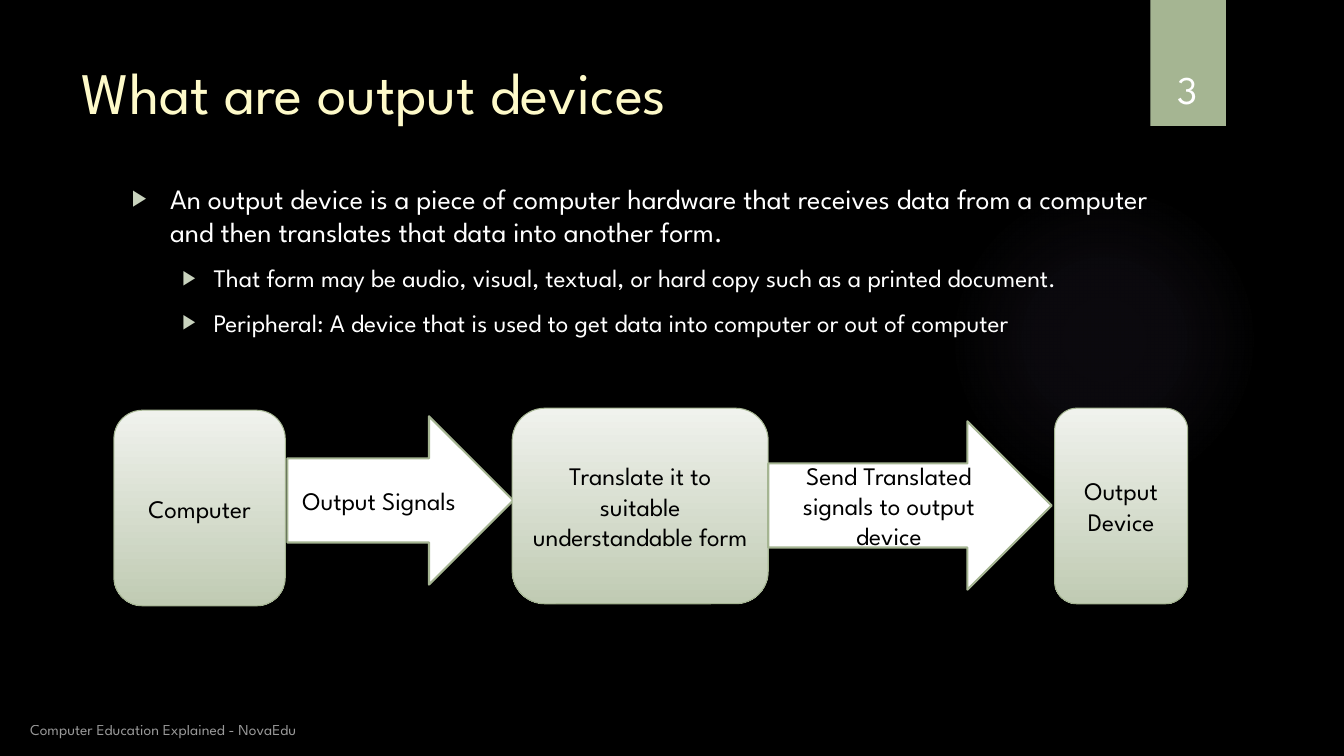
from lxml import etree
from pptx import Presentation
from pptx.dml.color import RGBColor
from pptx.enum.shapes import MSO_SHAPE as SHAPE
from pptx.enum.text import MSO_ANCHOR as ANCHOR, PP_ALIGN as ALIGN
from pptx.oxml import parse_xml
from pptx.oxml.ns import nsdecls, qn
from pptx.util import Inches, Pt

FONT = "League Spartan"
BLACK = RGBColor(0x00, 0x00, 0x00)
WHITE = RGBColor(0xFF, 0xFF, 0xFF)
CREAM = RGBColor(0xFE, 0xFA, 0xC9)
SAGE = RGBColor(0xA5, 0xB5, 0x92)
PALE = RGBColor(0xF0, 0xF2, 0xED)
MOSS = RGBColor(0xC0, 0xCB, 0xB3)
BULLET = RGBColor(0xC9, 0xD3, 0xBE)
GLOW = RGBColor(0x9C, 0x85, 0xC0)

# Content
TITLE = "What are output devices"
FOOTER = "Computer Education Explained - NovaEdu"
PAGE = "3"
BULLETS = [  # level, text
    (0, "An output device is a piece of computer hardware that receives data "
        "from a computer and then translates that data into another form."),
    (1, "That form may be audio, visual, textual, or hard copy such as a printed document."),
    (1, "Peripheral: A device that is used to get data into computer or out of computer"),
]
LEVELS = [(20, 0.38, 0.38), (18, 0.81, 0.31)]  # size, left margin, hanging indent
FLOW = [  # kind, text, left, top, width
    ("arrow", "Output Signals", 2.85, 4.13, 2.24),
    ("box", "Translate it to suitable understandable form", 5.08, 4.05, 2.54),
    ("arrow", "Send Translated signals to output device", 7.62, 4.18, 2.81),
    ("box", "Output Device", 10.46, 4.05, 1.32),
    ("box", "Computer", 1.13, 4.07, 1.7),
]
FLOW_STYLE = {  # preset, height, line width
    "arrow": (SHAPE.RIGHT_ARROW, 1.67, 1.5),
    "box": (SHAPE.ROUNDED_RECTANGLE, 1.94, 0.75),
}
GLOW_STOPS = [(0, 7), (36, 6), (69, 0)]  # position %, opacity %

prs = Presentation()
prs.slide_width, prs.slide_height = Inches(13.33), Inches(7.5)
s = prs.slides.add_slide(prs.slide_layouts[6])
s.background.fill.solid()
s.background.fill.fore_color.rgb = BLACK


def add_shape(kind, left, top, width, height):
    sp = s.shapes.add_shape(kind, *map(Inches, (left, top, width, height)))
    sp.shadow.inherit = False
    sp.line.fill.background()
    return sp


def add_box(left, top, width, height, anchor=ANCHOR.TOP):
    tf = s.shapes.add_textbox(*map(Inches, (left, top, width, height))).text_frame
    tf.word_wrap = True
    tf.vertical_anchor = anchor
    return tf


def write(p, text, size=18, color=BLACK, align=ALIGN.LEFT):
    p.alignment = align
    r = p.add_run()
    r.text = text
    r.font.name, r.font.size = FONT, Pt(size)
    r.font.color.rgb = color
    return r


def add_bullet(p, margin, hanging):
    pPr = p._p.get_or_add_pPr()
    pPr.set("marL", str(Inches(margin)))
    pPr.set("indent", str(-Inches(hanging)))
    for xml in (f'<a:buClr {nsdecls("a")}><a:srgbClr val="{BULLET}"/></a:buClr>',
                f'<a:buSzPct {nsdecls("a")} val="80000"/>',
                f'<a:buFont {nsdecls("a")} typeface="Arial"/>',
                f'<a:buChar {nsdecls("a")} char="▶"/>'):
        pPr.append(parse_xml(xml))


# Background glow
glow = add_shape(SHAPE.OVAL, 9.41, 1.83, 3.08, 3.08)
stops = "".join(
    f'<a:gs pos="{pos * 1000}"><a:srgbClr val="{GLOW}"><a:alpha val="{alpha * 1000}"/></a:srgbClr></a:gs>'
    for pos, alpha in GLOW_STOPS)
glow._element.spPr.find(qn("a:prstGeom")).addnext(parse_xml(
    f'<a:gradFill {nsdecls("a")}><a:gsLst>{stops}</a:gsLst><a:path path="circle">'
    '<a:fillToRect l="50000" t="50000" r="50000" b="50000"/></a:path></a:gradFill>'))

# Page tab with a soft shadow
tab = add_shape(SHAPE.RECTANGLE, 11.41, 0, 0.75, 1.25)
tab.fill.solid()
tab.fill.fore_color.rgb = SAGE
tab._element.spPr.find(qn("a:effectLst")).append(parse_xml(
    f'<a:outerShdw {nsdecls("a")} blurRad="{Pt(3)}" dist="{Pt(2)}" dir="5400000" rotWithShape="0">'
    f'<a:srgbClr val="{BLACK}"><a:alpha val="45000"/></a:srgbClr></a:outerShdw>'))

# Title and bullets
write(add_box(0.71, 0.5, 10.29, 1.53).paragraphs[0], TITLE, size=42, color=CREAM)
tf = add_box(1.21, 1.75, 10.46, 4.59)
for i, (level, text) in enumerate(BULLETS):
    size, margin, hanging = LEVELS[level]
    p = tf.add_paragraph() if i else tf.paragraphs[0]
    p.level = level
    p.space_before = Pt(10)
    write(p, text, size=size, color=WHITE)
    add_bullet(p, margin, hanging)

# Footer and page number
r = write(add_box(0.2, 7.05, 4.22, 0.33, ANCHOR.BOTTOM).paragraphs[0], FOOTER, size=11, color=WHITE)
footer_color = r._r.rPr.find(qn("a:solidFill")).find(qn("a:srgbClr"))
etree.SubElement(footer_color, qn("a:alpha")).set("val", "60000")
write(add_box(11.32, 0.32, 0.92, 0.84, ANCHOR.BOTTOM).paragraphs[0], PAGE,
      size=28, color=WHITE, align=ALIGN.CENTER)

# Flow from computer to output device
for kind, text, left, top, width in FLOW:
    preset, height, line_width = FLOW_STYLE[kind]
    sp = add_shape(preset, left, top, width, height)
    if kind == "box":
        sp.fill.gradient()
        sp.fill.gradient_angle = 270
        for stop, color in zip(sp.fill.gradient_stops, (PALE, MOSS)):
            stop.color.rgb = color
    else:
        sp.fill.solid()
        sp.fill.fore_color.rgb = WHITE
    sp.line.color.rgb = SAGE
    sp.line.width = Pt(line_width)
    tf = sp.text_frame
    tf.word_wrap = True
    tf.vertical_anchor = ANCHOR.MIDDLE
    write(tf.paragraphs[0], text, align=ALIGN.CENTER)

prs.save("out.pptx")
